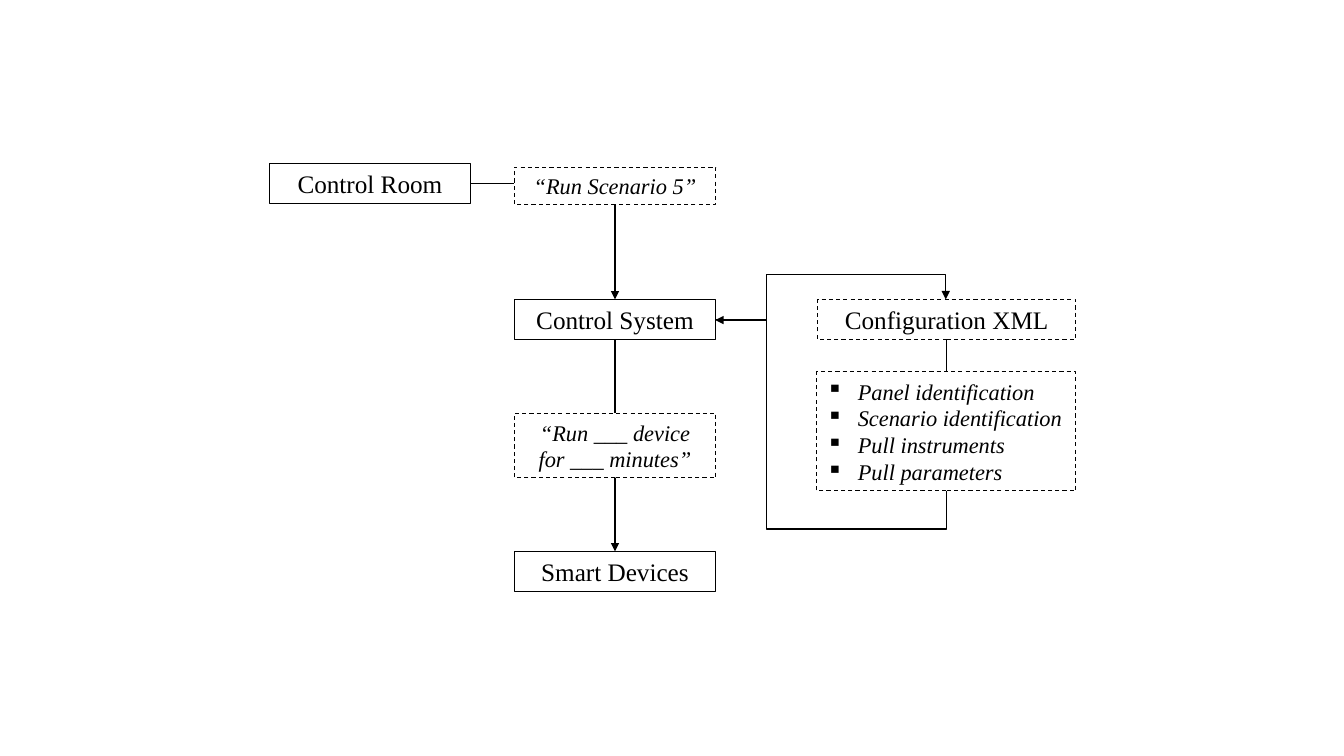
from lxml import etree
from pptx import Presentation
from pptx.dml.color import RGBColor
from pptx.enum.dml import MSO_LINE
from pptx.enum.shapes import MSO_CONNECTOR, MSO_SHAPE
from pptx.enum.text import MSO_ANCHOR, PP_ALIGN
from pptx.oxml.ns import qn
from pptx.util import Inches, Pt

BLACK = RGBColor(0, 0, 0)
WHITE = RGBColor(255, 255, 255)
RECTANGLE = MSO_SHAPE.RECTANGLE
DASH = MSO_LINE.DASH
ELBOW, STRAIGHT = MSO_CONNECTOR.ELBOW, MSO_CONNECTOR.STRAIGHT
CENTER, LEFT = PP_ALIGN.CENTER, PP_ALIGN.LEFT
MIDDLE = MSO_ANCHOR.MIDDLE
BOTTOM_SIDE, TOP_SIDE = 2, 0
INDENT = Inches(0.31)

NODE_FONT = {"name": "Times New Roman", "size": Pt(18), "italic": False}
MESSAGE_FONT = {"name": "Times New Roman", "size": Pt(16), "italic": True}

deck = Presentation()
deck.slide_width, deck.slide_height = Inches(13.33), Inches(7.5)
page = deck.slides.add_slide(deck.slide_layouts[6])


def add_box(place, lines, font, dashed=False, filled=False, bulleted=False):
    box = page.shapes.add_shape(RECTANGLE, *[Inches(value) for value in place])
    box.shadow.inherit = False
    if filled:
        box.fill.solid()
        box.fill.fore_color.rgb = WHITE
    else:
        box.fill.background()
    box.line.color.rgb = BLACK
    box.line.width = Pt(0.75)
    if dashed:
        box.line.dash_style = DASH
    frame = box.text_frame
    frame.word_wrap = True
    frame.vertical_anchor = MIDDLE
    for number, line in enumerate(lines):
        para = frame.add_paragraph() if number else frame.paragraphs[0]
        para.alignment = LEFT if bulleted else CENTER
        if bulleted:
            properties = para._p.get_or_add_pPr()
            properties.set("marL", str(INDENT))
            properties.set("indent", str(-INDENT))
            etree.SubElement(properties, qn("a:buChar")).set("char", "▪")
        span = para.add_run()
        span.text = line
        for name, value in font.items():
            setattr(span.font, name, value)
        span.font.color.rgb = BLACK
    return box


def add_arrow(kind, begin, end):
    arrow = page.shapes.add_connector(kind, *[Inches(value) for value in begin + end])
    arrow.line.color.rgb = BLACK
    arrow.line.width = Pt(1)
    etree.SubElement(arrow.line._get_or_add_ln(), qn("a:tailEnd")).set("type", "triangle")
    etree.SubElement(arrow._element.spPr, qn("a:effectLst"))
    return arrow


# Main nodes
add_box((2.67, 1.62, 2, 0.4), ["Control Room"], NODE_FONT)
control_system = add_box((5.1, 2.97, 2, 0.4), ["Control System"], NODE_FONT)
smart_devices = add_box((5.1, 5.47, 2, 0.4), ["Smart Devices"], NODE_FONT)
add_box((8.11, 2.97, 2.56, 0.4), ["Configuration XML"], NODE_FONT, dashed=True)

# Arrow from the control system down to the devices
command = add_arrow(STRAIGHT, (6.1, 3.37), (6.1, 5.47))
command.begin_connect(control_system, BOTTOM_SIDE)
command.end_connect(smart_devices, TOP_SIDE)

# Bent arrows: begin, end, preset, bend adjustments, quarter turns
bent_arrows = [
    ((4.67, 1.82), (6.1, 2.97), "bentConnector2", [], 0),
    ((7.1, 3.17), (9.38, 2.97), "bentConnector4", [22100, 223800], 0),
    ((8.34, 2.13), (8.14, 4.42), "bentConnector4", [-936200, 77900], 1),
]
for begin, end, preset, bends, turns in bent_arrows:
    arrow = add_arrow(ELBOW, begin, end)
    properties = arrow._element.spPr
    properties.find(qn("a:xfrm")).set("rot", str(turns * 5400000))
    geometry = properties.find(qn("a:prstGeom"))
    geometry.set("prst", preset)
    adjustments = geometry.find(qn("a:avLst"))
    for number, bend in enumerate(bends, 1):
        guide = etree.SubElement(adjustments, qn("a:gd"))
        guide.set("name", f"adj{number}")
        guide.set("fmla", f"val {bend}")

# Messages lying over the arrows
messages = [
    ((5.1, 1.66, 2, 0.37), ["“Run Scenario 5”"], False),
    ((8.1, 3.69, 2.57, 1.18), ["Panel identification", "Scenario identification",
                               "Pull instruments", "Pull parameters"], True),
    ((5.1, 4.1, 2, 0.64), ["“Run ___ device for ___ minutes”"], False),
]
for place, lines, bulleted in messages:
    add_box(place, lines, MESSAGE_FONT, dashed=True, filled=True, bulleted=bulleted)

deck.save("out.pptx")
